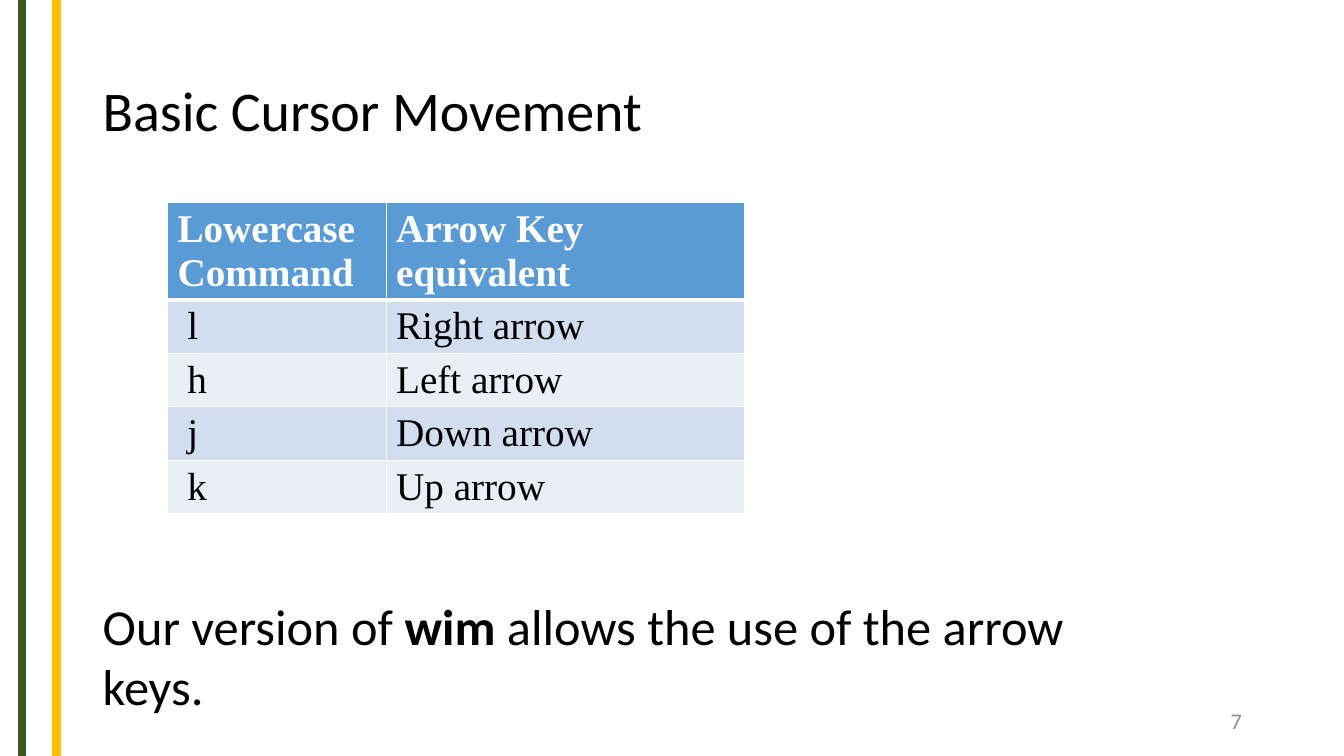
"""Build the slide on basic cursor movement in a text editor."""
from dataclasses import dataclass, field
from typing import Any

from lxml import etree
from pptx import Presentation
from pptx.dml.color import RGBColor
from pptx.enum.shapes import MSO_CONNECTOR
from pptx.enum.text import MSO_ANCHOR, MSO_AUTO_SIZE, PP_ALIGN
from pptx.oxml.ns import qn
from pptx.slide import Slide
from pptx.table import _Cell
from pptx.text.text import _Paragraph
from pptx.util import Cm, Pt

STRAIGHT = MSO_CONNECTOR.STRAIGHT
MIDDLE = MSO_ANCHOR.MIDDLE
TOP = MSO_ANCHOR.TOP
FIT_SHAPE = MSO_AUTO_SIZE.SHAPE_TO_FIT_TEXT
NO_FIT = MSO_AUTO_SIZE.NONE
LEFT = PP_ALIGN.LEFT
RIGHT = PP_ALIGN.RIGHT

SLIDE_WIDTH, SLIDE_HEIGHT = 33.87, 19.05


@dataclass(frozen=True)
class Theme:
    """Colours, fonts and type sizes of the slide."""

    green: str = "385723"
    gold: str = "FFC000"
    ink: str = "000000"
    paper: str = "FFFFFF"
    muted: str = "8C8C8C"
    header: str = "5B9BD5"
    bands: tuple[str, str] = ("D2DEEF", "EAEFF7")
    body_font: str = "Calibri"
    table_font: str = "Times New Roman"
    title_size: int = 40
    remark_size: int = 36
    table_size: int = 28
    number_size: int = 16
    stripe_width: int = 6
    grid_width: int = 1
    header_rule_width: int = 3


THEME = Theme()


@dataclass(frozen=True)
class Stripe:
    """A vertical stripe down the left edge."""

    x: float
    color: str


@dataclass(frozen=True)
class Caption:
    """A line of text made of (wording, bold) pieces."""

    box: tuple[float, float, float, float]
    pieces: tuple[tuple[str, bool], ...]
    size: int
    color: str = THEME.ink
    frame_format: dict[str, Any] = field(default_factory=dict)
    paragraph_format: dict[str, Any] = field(default_factory=dict)


STRIPES = (Stripe(0.56, THEME.green), Stripe(1.42, THEME.gold))

CAPTIONS = (
    Caption(
        (2.34, 1.02, 29.21, 3.68),
        (("Basic Cursor Movement", False),),
        THEME.title_size,
        frame_format={"vertical_anchor": MIDDLE},
        paragraph_format={"line_spacing": 0.9},
    ),
    Caption(
        (23.93, 17.65, 7.62, 1.02),
        (("7", False),),
        THEME.number_size,
        THEME.muted,
        {"vertical_anchor": MIDDLE},
        {"alignment": RIGHT},
    ),
    Caption(
        (2.34, 14.86, 27.46, 1.8),
        (
            ("Our version of ", False),
            ("wim", True),
            (" allows the use of the arrow keys.", False),
        ),
        THEME.remark_size,
        frame_format={"word_wrap": False, "auto_size": FIT_SHAPE},
    ),
)

TABLE_LEFT, TABLE_TOP = 4.22, 5.11
COLUMN_WIDTHS = (5.51, 9.04)
ROW_HEIGHT = 1.04
COMMAND_INDENT = 0.5
KEY_ROWS = (
    ("Lowercase Command", "Arrow Key equivalent"),
    ("l", "Right arrow"),
    ("h", "Left arrow"),
    ("j", "Down arrow"),
    ("k", "Up arrow"),
)


def apply_format(target: Any, values: dict[str, Any]) -> None:
    """Set each named attribute of the target."""
    for name, value in values.items():
        setattr(target, name, value)


def add_words(
    paragraph: _Paragraph, words: str, font_name: str, size: int, color: str, bold: bool
) -> None:
    """Append a formatted run to the paragraph."""
    run = paragraph.add_run()
    run.text = words
    apply_format(run.font, {"name": font_name, "size": Pt(size), "bold": bold})
    run.font.color.rgb = RGBColor.from_string(color)


def draw_stripe(slide: Slide, stripe: Stripe) -> None:
    """Draw a stripe over the full slide height."""
    x = Cm(stripe.x)
    edge = slide.shapes.add_connector(STRAIGHT, x, 0, x, Cm(SLIDE_HEIGHT))
    edge.line.width = Pt(THEME.stripe_width)
    edge.line.color.rgb = RGBColor.from_string(stripe.color)
    etree.SubElement(edge._element.spPr, qn("a:effectLst"))


def draw_caption(slide: Slide, caption: Caption) -> None:
    """Draw a caption in its own text box."""
    frame = slide.shapes.add_textbox(*map(Cm, caption.box)).text_frame
    defaults = {"word_wrap": True, "auto_size": NO_FIT, "vertical_anchor": TOP}
    apply_format(frame, defaults | caption.frame_format)
    paragraph = frame.paragraphs[0]
    apply_format(paragraph, {"alignment": LEFT} | caption.paragraph_format)
    for words, bold in caption.pieces:
        add_words(paragraph, words, THEME.body_font, caption.size, caption.color, bold)


def draw_borders(cell: _Cell, widths: dict[str, int]) -> None:
    """Rule the sides of a cell in the paper colour."""
    properties = cell._tc.get_or_add_tcPr()
    for side, width in widths.items():
        rule = etree.SubElement(properties, qn(f"a:ln{side}"), w=str(Pt(width)))
        solid = etree.SubElement(rule, qn("a:solidFill"))
        etree.SubElement(solid, qn("a:srgbClr"), val=THEME.paper)


def draw_key_table(slide: Slide) -> None:
    """Draw the table of commands and arrow keys."""
    table = slide.shapes.add_table(
        len(KEY_ROWS),
        len(COLUMN_WIDTHS),
        Cm(TABLE_LEFT),
        Cm(TABLE_TOP),
        Cm(sum(COLUMN_WIDTHS)),
        Cm(ROW_HEIGHT * len(KEY_ROWS)),
    ).table
    for column, width in zip(table.columns, COLUMN_WIDTHS):
        column.width = Cm(width)
    for row_index, entries in enumerate(KEY_ROWS):
        is_header = row_index == 0
        fill = THEME.header if is_header else THEME.bands[(row_index - 1) % 2]
        ink = THEME.paper if is_header else THEME.ink
        widths = dict.fromkeys("LRTB", THEME.grid_width)
        if row_index < 2:
            widths["B" if is_header else "T"] = THEME.header_rule_width
        for column_index, words in enumerate(entries):
            cell = table.cell(row_index, column_index)
            draw_borders(cell, widths)
            cell.fill.solid()
            cell.fill.fore_color.rgb = RGBColor.from_string(fill)
            if column_index == 0 and not is_header:
                cell.margin_left = Cm(COMMAND_INDENT)
            paragraph = cell.text_frame.paragraphs[0]
            add_words(
                paragraph, words, THEME.table_font, THEME.table_size, ink, is_header
            )


def main() -> None:
    """Build and save the slide."""
    deck = Presentation()
    apply_format(
        deck, {"slide_width": Cm(SLIDE_WIDTH), "slide_height": Cm(SLIDE_HEIGHT)}
    )
    slide = deck.slides.add_slide(deck.slide_layouts[6])
    for stripe in STRIPES:
        draw_stripe(slide, stripe)
    draw_key_table(slide)
    for caption in CAPTIONS:
        draw_caption(slide, caption)
    deck.save("out.pptx")


if __name__ == "__main__":
    main()
